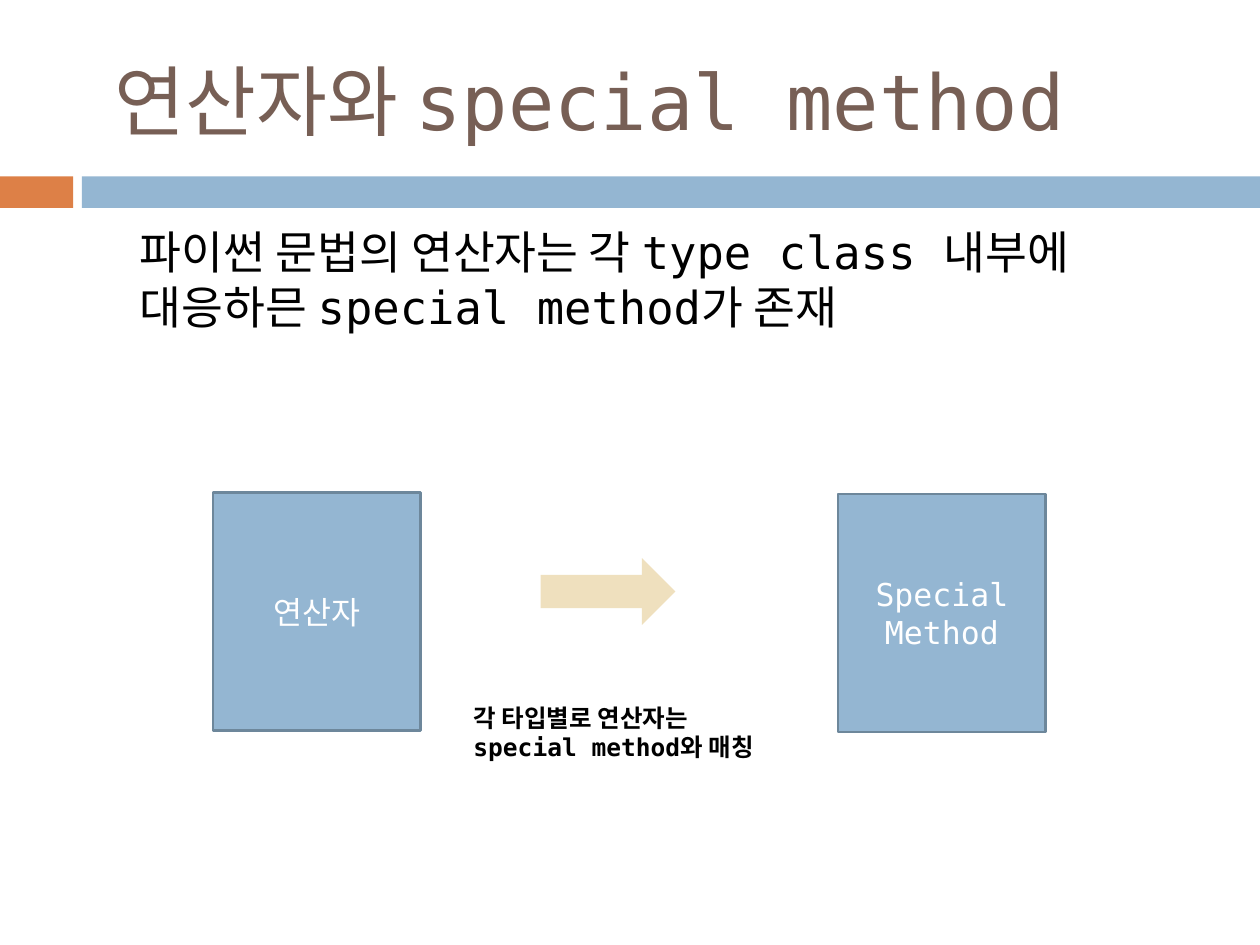
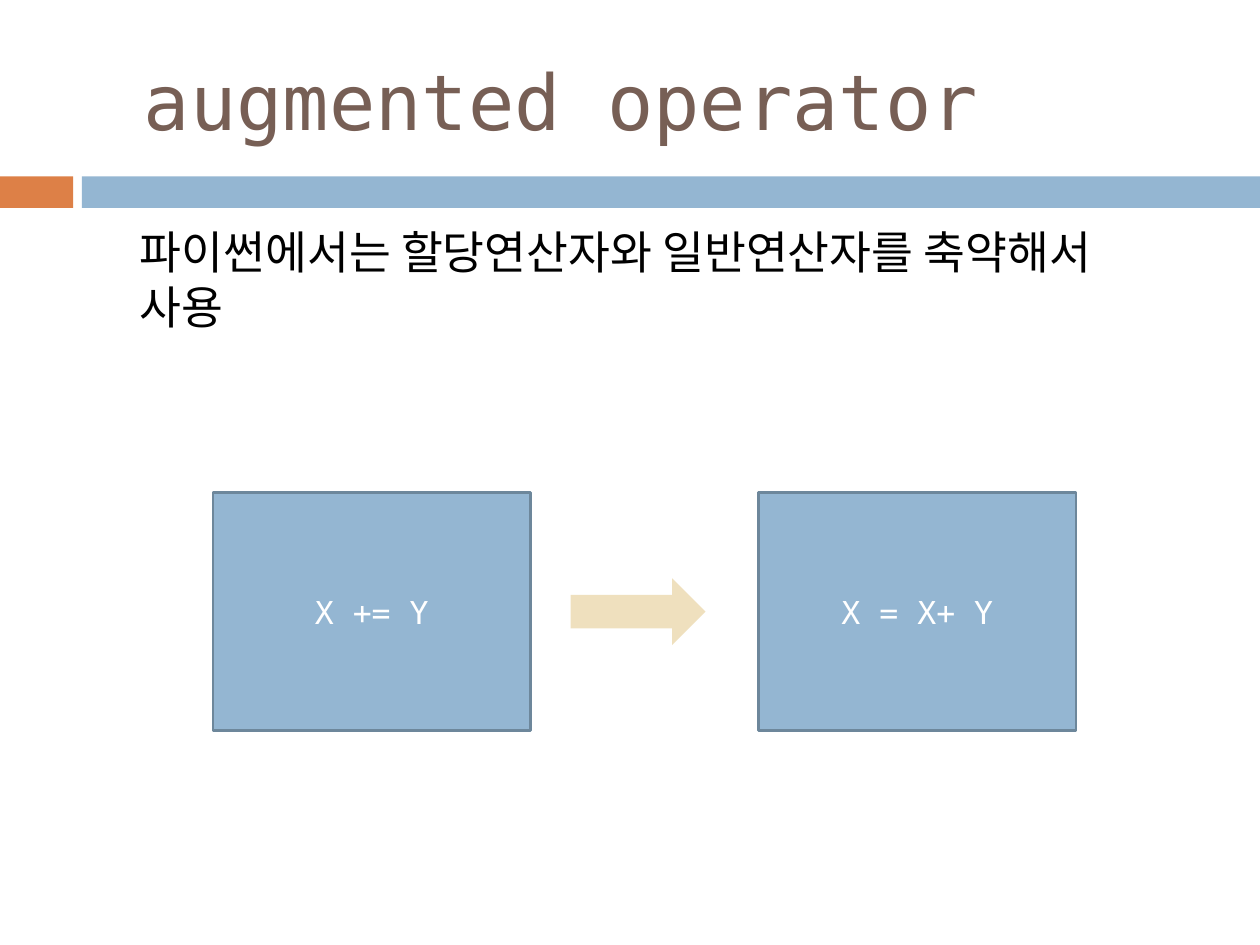
"""Build two slides on Python operators and their special methods."""
from dataclasses import dataclass

from pptx import Presentation
from pptx.dml.color import RGBColor
from pptx.enum import shapes, text
from pptx.util import Inches, Pt

FONT = "DejaVu Sans Mono"
ORANGE, BLUE, EDGE, SAND = "DD8047", "94B6D2", "6D879B", "EFE0BE"
BROWN, BLACK, WHITE = "775F55", "000000", "FFFFFF"
RECT, ARROW = shapes.MSO_SHAPE.RECTANGLE, shapes.MSO_SHAPE.RIGHT_ARROW
LEFT, CENTER = text.PP_ALIGN.LEFT, text.PP_ALIGN.CENTER
TOP, MIDDLE = text.MSO_ANCHOR.TOP, text.MSO_ANCHOR.MIDDLE


@dataclass(frozen=True)
class Area:
    left: float
    top: float
    width: float
    height: float

    def lengths(self):
        return [Inches(v) for v in (self.left, self.top, self.width, self.height)]


@dataclass(frozen=True)
class TextStyle:
    size: float
    color: str
    bold: bool = False
    align: text.PP_ALIGN = LEFT
    anchor: text.MSO_ANCHOR = TOP


@dataclass(frozen=True)
class Block:
    area: Area
    fill: str
    kind: shapes.MSO_SHAPE = RECT
    edge: str | None = None
    lines: tuple[str, ...] = ()


@dataclass(frozen=True)
class Page:
    title: str
    title_inset: float
    statement: str
    blocks: tuple[Block, ...]
    caption: str = ""


TITLE = TextStyle(44, BROWN, anchor=MIDDLE)
STATEMENT = TextStyle(26, BLACK)
LABEL = TextStyle(18, WHITE, align=CENTER, anchor=MIDDLE)
CAPTION = TextStyle(14, BLACK, bold=True)

TITLE_AREA = Area(0.67, 0.25, 8.92, 1.08)
STATEMENT_AREA = Area(0.51, 1.73, 9, 1.47)
CAPTION_AREA = Area(3.66, 5.53, 2.44, 0.57)
BANDS = (
    Block(Area(0, 1.4, 0.58, 0.25), ORANGE),
    Block(Area(0.65, 1.4, 9.35, 0.25), BLUE),
)


def operand(left: float, top: float, width: float, *lines: str) -> Block:
    return Block(Area(left, top, width, 1.89), BLUE, edge=EDGE, lines=lines)


def arrow(left: float, top: float) -> Block:
    return Block(Area(left, top, 1.07, 0.53), SAND, ARROW)


PAGES = (
    Page(
        "연산자와 special method",
        0.24,
        "파이썬 문법의 연산자는 각 type class 내부에 대응하믄 special method가 존재",
        (
            operand(1.69, 3.91, 1.65, "연산자"),
            operand(6.65, 3.92, 1.65, "Special", "Method"),
            arrow(4.29, 4.43),
        ),
        "각 타입별로 연산자는 special method와 매칭",
    ),
    Page(
        "augmented operator",
        0.47,
        "파이썬에서는 할당연산자와 일반연산자를 축약해서 사용",
        (
            operand(1.69, 3.91, 2.52, "X += Y"),
            operand(6.02, 3.91, 2.52, "X = X+ Y"),
            arrow(4.53, 4.59),
        ),
    ),
)


def rgb(color: str) -> RGBColor:
    return RGBColor.from_string(color)


def write(box, lines: tuple[str, ...], style: TextStyle, inset: float = 0.1) -> None:
    frame = box.text_frame
    settings = {
        "word_wrap": True,
        "auto_size": text.MSO_AUTO_SIZE.NONE,
        "vertical_anchor": style.anchor,
        "margin_left": Inches(inset),
    }
    for name, value in settings.items():
        setattr(frame, name, value)
    frame.text = "\n".join(lines)
    font_format = {"name": FONT, "size": Pt(style.size), "bold": style.bold}
    for para in frame.paragraphs:
        para.alignment = style.align
        for span in para.runs:
            for name, value in font_format.items():
                setattr(span.font, name, value)
            span.font.color.rgb = rgb(style.color)


def draw_block(slide, block: Block) -> None:
    shape = slide.shapes.add_shape(block.kind, *block.area.lengths())
    shape.shadow.inherit = False
    shape.fill.solid()
    shape.fill.fore_color.rgb = rgb(block.fill)
    if block.edge:
        shape.line.color.rgb = rgb(block.edge)
        shape.line.width = Pt(1.5)
    else:
        shape.line.fill.background()
    if block.lines:
        write(shape, block.lines, LABEL)


def draw_text(slide, area: Area, words: str, style: TextStyle, inset: float = 0.1) -> None:
    write(slide.shapes.add_textbox(*area.lengths()), (words,), style, inset)


def draw_page(deck, page: Page) -> None:
    slide = deck.slides.add_slide(deck.slide_layouts.get_by_name("Title Only"))
    title = slide.shapes.title
    title.left, title.top, title.width, title.height = TITLE_AREA.lengths()
    write(title, (page.title,), TITLE, page.title_inset)
    draw_text(slide, STATEMENT_AREA, page.statement, STATEMENT, 0.6)
    for block in BANDS + page.blocks:
        draw_block(slide, block)
    if page.caption:
        draw_text(slide, CAPTION_AREA, page.caption, CAPTION)


def main() -> None:
    deck = Presentation()
    deck.slide_width, deck.slide_height = Inches(10), Inches(7.5)
    for page in PAGES:
        draw_page(deck, page)
    deck.save("out.pptx")


if __name__ == "__main__":
    main()
